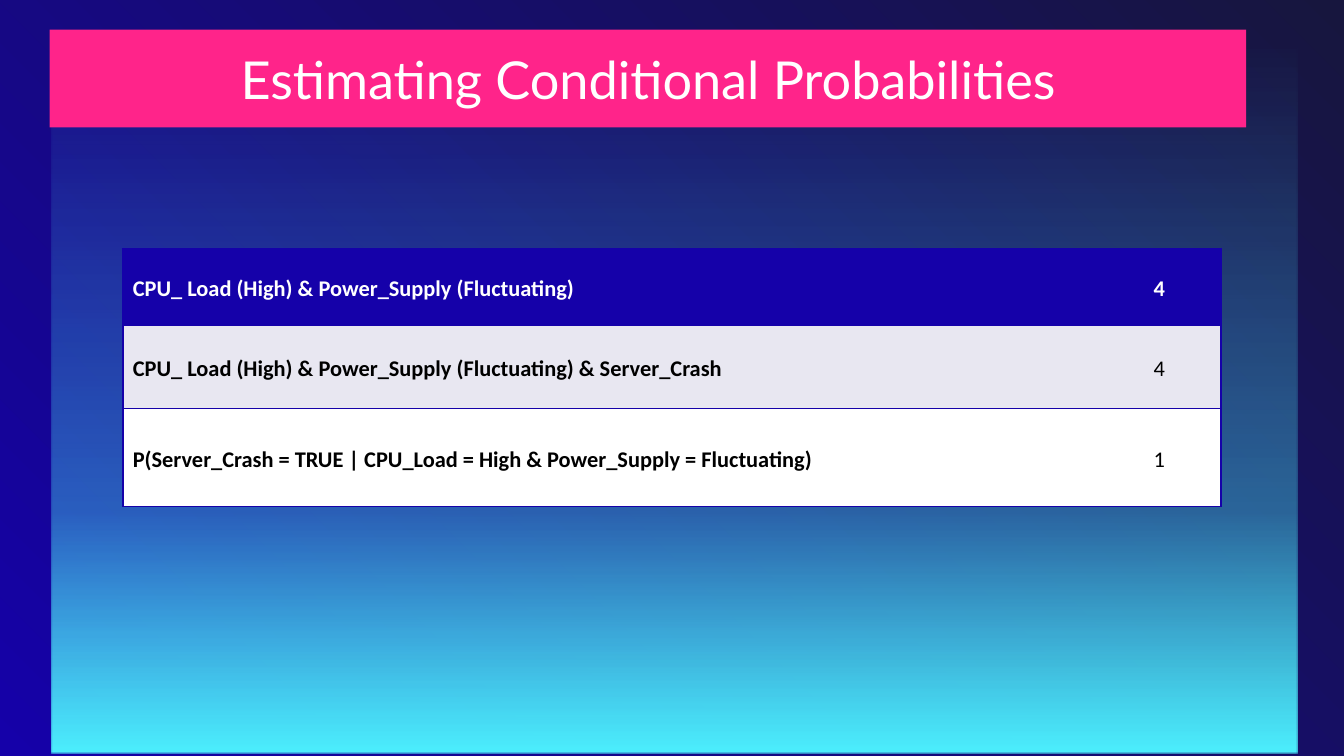
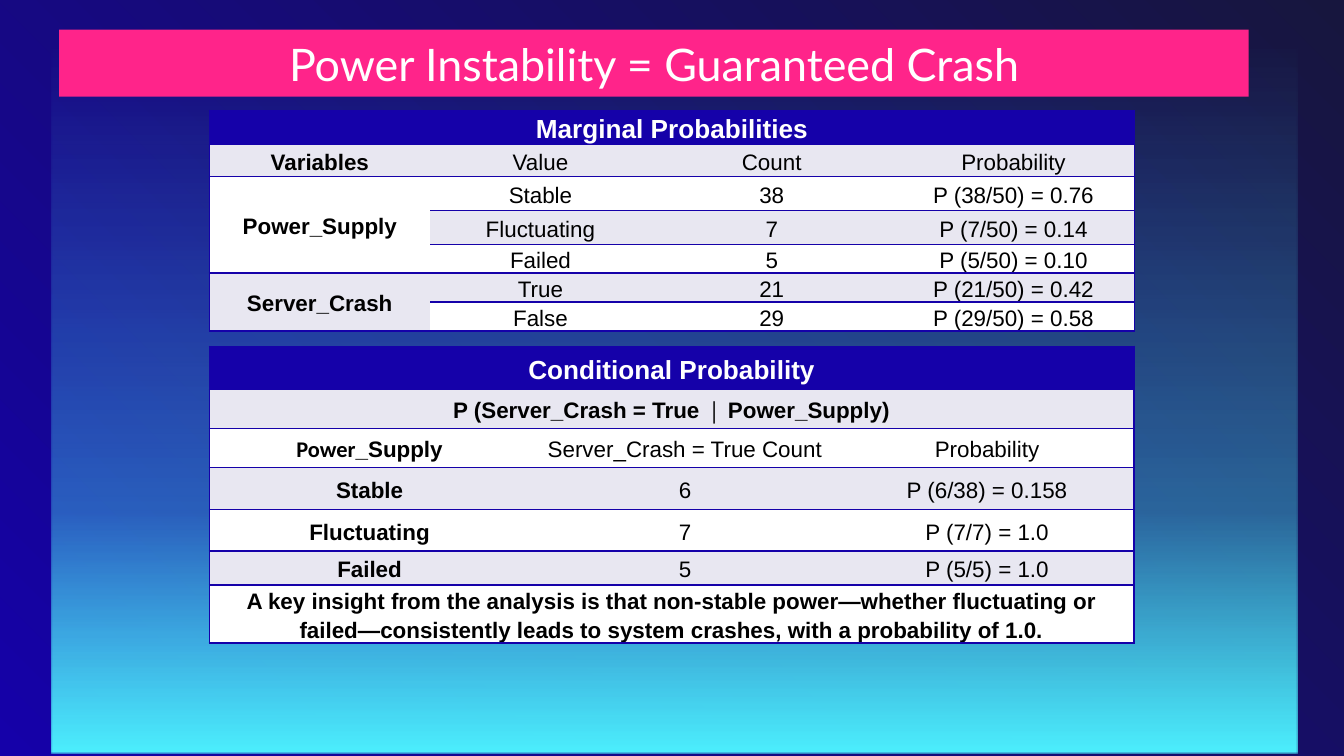
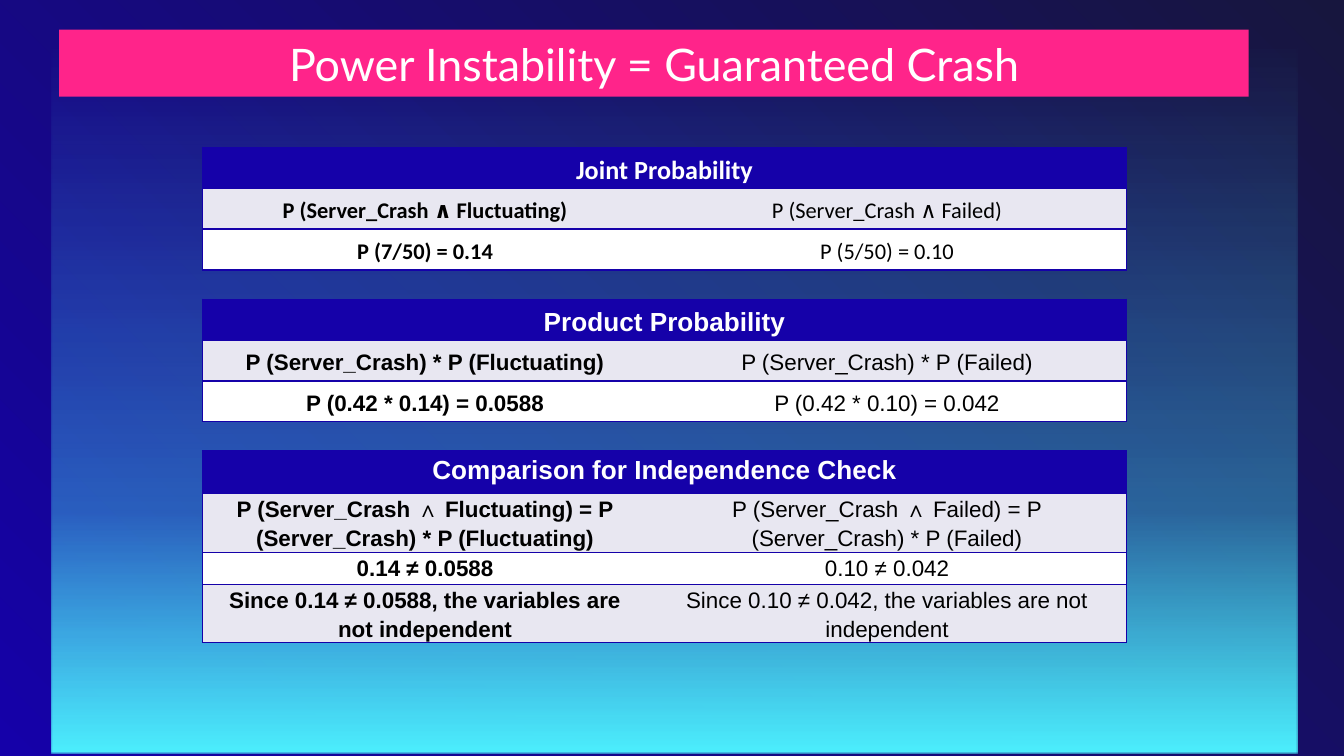
from lxml import etree
from pptx import Presentation
from pptx import util as u
from pptx.dml.color import RGBColor
from pptx.enum import shapes, text
from pptx.oxml import ns

BLUE, NAVY, CYAN, PINK = "1501A9", "17163E", "4CEEFD", "FF248A"
WHITE, BLACK, GREY = "FFFFFF", "000000", "E8E7F1"
CENTER, LEFT = text.PP_ALIGN.CENTER, text.PP_ALIGN.LEFT
MIDDLE, TOP = text.MSO_ANCHOR.MIDDLE, text.MSO_ANCHOR.TOP
PLAIN_STYLE = "{2D5ABB26-0587-4C30-8999-92F81FD0307C}"
CELL_FORMAT = {"margin_left": u.Cm(0.19), "margin_right": u.Cm(0.19),
               "margin_top": 0, "margin_bottom": 0}
TITLE_FORMAT = {"word_wrap": True, "vertical_anchor": MIDDLE,
                **{f"margin_{side}": u.Cm(0.25) for side in ("left", "right", "top", "bottom")}}
POWER_TITLE = {"title": "Power Instability = Guaranteed Crash", "size": 24,
               "place": (1.12, 0.56, 22.48, 1.27)}
PAIR_COLUMNS = (8.41, 9.05)
PAIR_ROWS = (0.77,) * 3


def color(value):
    return RGBColor.from_string(value)


def apply_format(target, values):
    for name, value in values.items():
        setattr(target, name, value)


def paint_solid(fill, value):
    fill.solid()
    fill.fore_color.rgb = color(value)


def paint_gradient(fill, owner, angle, stops):
    fill.gradient()
    fill.gradient_angle = angle
    stop_list = next(owner.element.iter(ns.qn("a:gsLst")))
    for stop in list(stop_list):
        stop_list.remove(stop)
    for position, value, opacity in stops:
        stop = etree.SubElement(stop_list, ns.qn("a:gs"), pos=str(position * 1000))
        shade = etree.SubElement(stop, ns.qn("a:srgbClr"), val=value)
        if opacity < 100:
            etree.SubElement(shade, ns.qn("a:alpha"), val=str(opacity * 1000))


def add_span(para, words, font, size, value, bold=False):
    span = para.add_run()
    span.text = words
    apply_format(span.font, {"name": font, "size": u.Pt(size), "bold": bold})
    span.font.color.rgb = color(value)


def add_box(page, place):
    box = page.shapes.add_shape(shapes.MSO_SHAPE.RECTANGLE, *map(u.Cm, place))
    box.shadow.inherit = False
    box.line.fill.background()
    return box


def add_title(page, title, size, place):
    box = add_box(page, place)
    paint_solid(box.fill, PINK)
    apply_format(box.text_frame, TITLE_FORMAT)
    para = box.text_frame.paragraphs[0]
    para.alignment = CENTER
    add_span(para, title, "Lato", size, WHITE)


def add_page(deck, heading):
    page = deck.slides.add_slide(deck.slide_layouts[6])
    paint_gradient(page.background.fill, page, 45, [(0, BLUE, 100), (100, NAVY, 100)])
    panel = add_box(page, (0.97, 0.89, 23.55, 13.36))
    paint_gradient(panel.fill, panel, 90, [(0, CYAN, 100), (34, CYAN, 38), (100, CYAN, 0)])
    add_title(page, **heading)
    return page


def add_borders(cell, sides):
    properties = cell._tc.get_or_add_tcPr()
    for side in sides:
        line = etree.SubElement(properties, ns.qn(f"a:ln{side}"), w=str(u.Pt(1)))
        fill = etree.SubElement(line, ns.qn("a:solidFill"))
        etree.SubElement(fill, ns.qn("a:srgbClr"), val=BLUE)


def merge_cells(table, rows):
    last = len(table.columns) - 1
    top = 0
    for index, row in enumerate(rows):
        if len(row) == 1:
            table.cell(index, 0).merge(table.cell(index, last))
        if row[0] is not None:
            top = index
        elif index + 1 == len(rows) or rows[index + 1][0] is not None:
            table.cell(top, 0).merge(table.cell(index, 0))


def add_table(page, left, top, widths, heights, rows, font="Arial",
              header_size=14, anchor=MIDDLE, first_align=CENTER):
    place = (left, top, sum(widths), sum(heights))
    frame = page.shapes.add_table(len(rows), len(widths), *map(u.Cm, place))
    table = frame.table
    next(frame.element.iter(ns.qn("a:tableStyleId"))).text = PLAIN_STYLE
    for column, width in zip(table.columns, widths):
        column.width = u.Cm(width)
    for line, height in zip(table.rows, heights):
        line.height = u.Cm(height)
    merge_cells(table, rows)
    for r, row in enumerate(rows):
        for c, content in enumerate(row):
            if content is None:
                continue
            cell = table.cell(r, c)
            at_right = c + cell.span_width == len(widths) if cell.is_merge_origin else c == len(widths) - 1
            add_borders(cell, ("L" if c == 0 else "") + ("R" if at_right else "") + "TB")
            paint_solid(cell.fill, BLUE if r == 0 else (WHITE, GREY)[r % 2])
            apply_format(cell, {**CELL_FORMAT, "vertical_anchor": anchor})
            para = cell.text_frame.paragraphs[0]
            apply_format(para, {"alignment": CENTER if c else first_align,
                                "line_spacing": 1.15, "space_after": u.Pt(8)})
            spans = [(content, font)] if isinstance(content, str) else content
            for words, face in spans:
                add_span(para, words, face, 12 if r else header_size,
                         BLACK if r else WHITE, r == 0 or c == 0)


def build_estimates(deck):
    page = add_page(deck, {"title": "Estimating Conditional Probabilities", "size": 28,
                           "place": (0.94, 0.56, 22.61, 1.85)})
    add_table(page, 2.32, 4.7, (18.42, 2.34), (1.45, 1.57, 1.85), [
        ("CPU_ Load (High) & Power_Supply (Fluctuating)", "4"),
        ("CPU_ Load (High) & Power_Supply (Fluctuating) & Server_Crash", "4"),
        ("P(Server_Crash = TRUE | CPU_Load = High & Power_Supply = Fluctuating)", "1"),
    ], font="Calibri", header_size=12, first_align=LEFT)


def build_marginals(deck):
    page = add_page(deck, POWER_TITLE)
    add_table(page, 3.96, 2.09, (4.17, 4.17, 4.57, 4.57),
              (0.61, 0.61, 0.64, 0.64, 0.53, 0.51, 0.51), [
        ("Marginal Probabilities",),
        ("Variables", "Value", "Count", "Probability"),
        ("Power_Supply", "Stable", "38", "P (38/50) = 0.76"),
        (None, "Fluctuating", "7", "P (7/50) = 0.14"),
        (None, "Failed", "5", "P (5/50) = 0.10"),
        ("Server_Crash", "True", "21", "P (21/50) = 0.42"),
        (None, "False", "29", "P (29/50) = 0.58"),
    ])
    add_table(page, 3.96, 6.55, (6.05, 5.87, 5.55),
              (0.81, 0.74, 0.74, 0.79, 0.79, 0.64, 1.07), [
        ("Conditional Probability",),
        ("P (Server_Crash = True ∣ Power_Supply)",),
        ([("Power", "Calibri"), ("_Supply", "Arial")], "Server_Crash = True Count", "Probability"),
        ("Stable", "6", "P (6/38) = 0.158"),
        ("Fluctuating", "7", "P (7/7) = 1.0"),
        ("Failed", "5", "P (5/5) = 1.0"),
        ("A key insight from the analysis is that non-stable power—whether fluctuating or "
         "failed—consistently leads to system crashes, with a probability of 1.0.",),
    ])


def build_independence(deck):
    page = add_page(deck, POWER_TITLE)
    add_table(page, 3.83, 2.79, PAIR_COLUMNS, PAIR_ROWS, [
        ("Joint Probability",),
        ("P (Server_Crash ∧ Fluctuating)", "P (Server_Crash ∧ Failed)"),
        ("P (7/50) = 0.14", "P (5/50) = 0.10"),
    ], font="Calibri")
    add_table(page, 3.83, 5.66, PAIR_COLUMNS, PAIR_ROWS, [
        ("Product Probability",),
        ("P (Server_Crash) * P (Fluctuating)", "P (Server_Crash) * P (Failed)"),
        ("P (0.42 * 0.14) = 0.0588", "P (0.42 * 0.10) = 0.042"),
    ])
    add_table(page, 3.83, 8.53, PAIR_COLUMNS, (0.79, 1.12, 0.61, 0.99), [
        ("Comparison for Independence Check",),
        ("P (Server_Crash ∧ Fluctuating) = P (Server_Crash) * P (Fluctuating)",
         "P (Server_Crash ∧ Failed) = P (Server_Crash) * P (Failed)"),
        ("0.14 ≠ 0.0588", "0.10 ≠ 0.042"),
        ("Since 0.14 ≠ 0.0588, the variables are not independent",
         "Since 0.10 ≠ 0.042, the variables are not independent"),
    ], anchor=TOP)


def main():
    deck = Presentation()
    deck.slide_width, deck.slide_height = u.Cm(25.4), u.Cm(14.29)
    build_estimates(deck)
    build_marginals(deck)
    build_independence(deck)
    deck.save("out.pptx")


if __name__ == "__main__":
    main()
